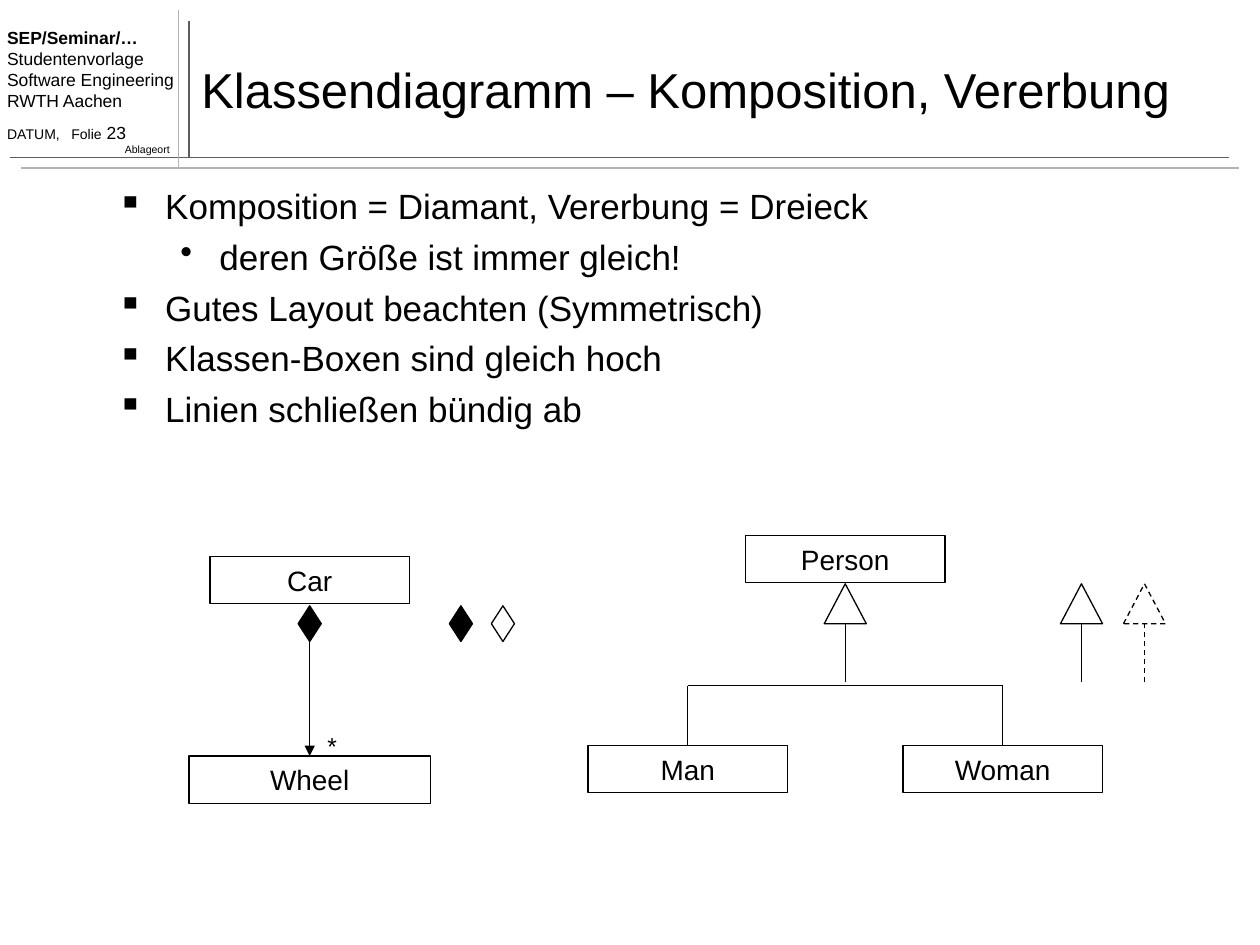
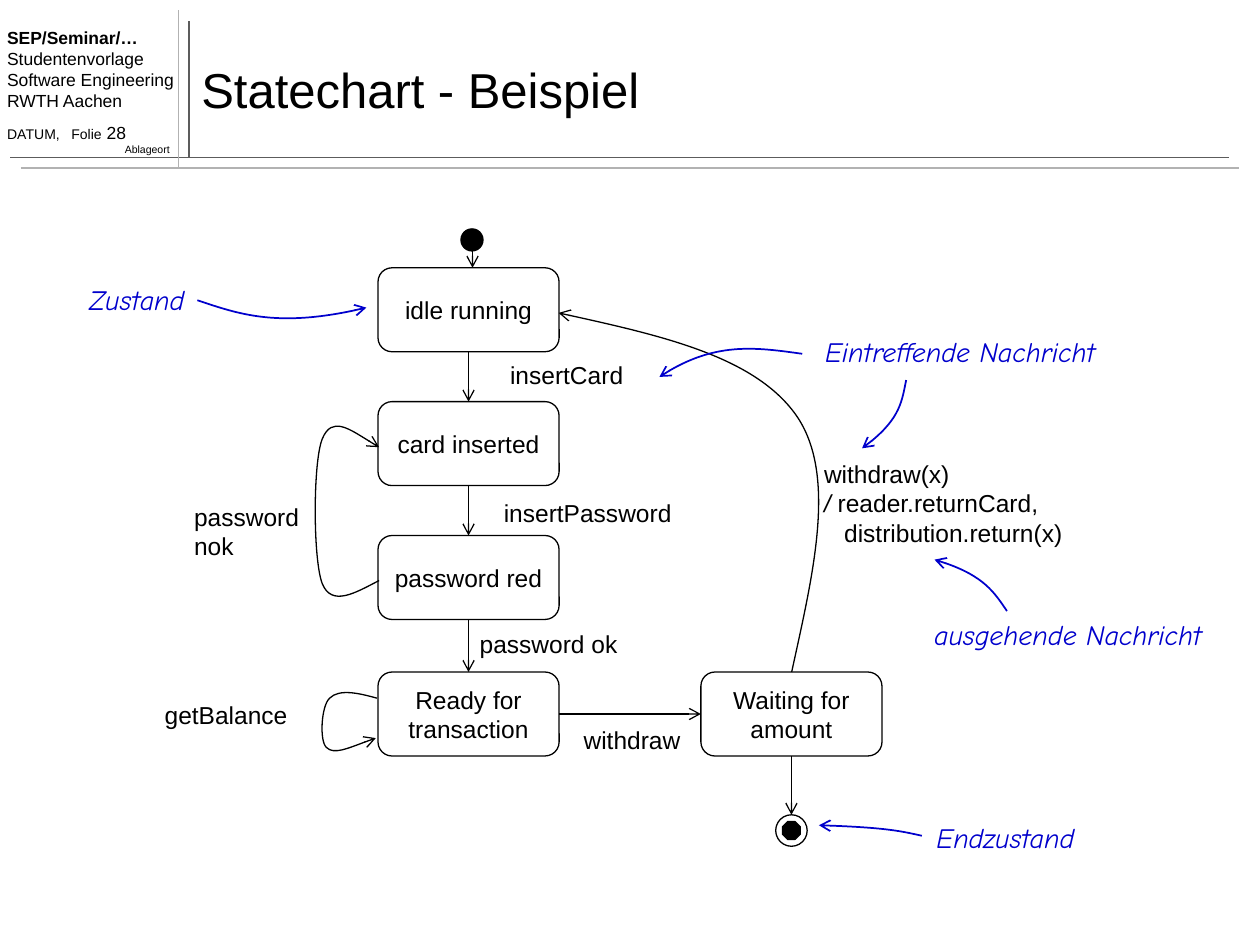
from dataclasses import dataclass

from lxml.etree import SubElement
from pptx import Presentation
from pptx.dml.color import RGBColor
from pptx.enum.dml import MSO_LINE
from pptx.enum.shapes import MSO_CONNECTOR, MSO_SHAPE
from pptx.enum.text import MSO_ANCHOR, PP_ALIGN
from pptx.oxml.ns import qn
from pptx.util import Inches, Pt

COLUMNS, ROWS = 120, 90
CELL = Inches(10) / COLUMNS

BLACK, WHITE, BLUE = "000000", "FFFFFF", "0000CC"
DARK_GRAY, LIGHT_GRAY = "5C5C5C", "B2B2B2"
TEXT_FONT, NOTE_FONT = "Arial", "Comic Neue"

CLASS_WIDTH, CLASS_HEIGHT = 19, 4.5
STATE_WIDTH, STATE_HEIGHT = 17.25, 8


def rgb(color):
    return RGBColor.from_string(color)


@dataclass
class Area:
    """A region of a page; its parts are placed in grid cells from its corner."""
    page: object
    left: float
    top: float

    def point(self, column, row):
        return round((self.left + column) * CELL), round((self.top + row) * CELL)

    def box(self, column, row, width, height):
        return *self.point(column, row), round(width * CELL), round(height * CELL)


def style_line(line, color, width=0.75, dashed=False):
    line.color.rgb = rgb(color)
    line.width = Pt(width)
    if dashed:
        line.dash_style = MSO_LINE.DASH


def add_arrowhead(line, kind):
    SubElement(line._get_or_add_ln(), qn("a:tailEnd"), type=kind)


def add_line(area, start, end, color=BLACK, width=0.75, head=None, dashed=False):
    connector = area.page.shapes.add_connector(
        MSO_CONNECTOR.STRAIGHT, *area.point(*start), *area.point(*end))
    SubElement(connector._element.spPr, qn("a:effectLst"))
    style_line(connector.line, color, width, dashed)
    if head:
        add_arrowhead(connector.line, head)


def add_curve(area, points, color=BLACK, width=0.75):
    """Draws an arrow of cubic curves: a start, then three points for each curve."""
    start, *others = [area.point(*point) for point in points]
    builder = area.page.shapes.build_freeform(*start)
    builder.add_line_segments(others, close=False)
    curve = builder.convert_to_shape()
    segments = list(curve._element.iter(qn("a:lnTo")))
    for first in range(0, len(segments), 3):
        outline = segments[first].getparent()
        cubic = SubElement(outline, qn("a:cubicBezTo"))
        for segment in segments[first:first + 3]:
            cubic.append(segment[0])
            outline.remove(segment)
    curve.shadow.inherit = False
    curve.fill.background()
    style_line(curve.line, color, width)
    add_arrowhead(curve.line, "arrow")


def add_form(area, kind, box, fill=None, dashed=False):
    form = area.page.shapes.add_shape(kind, *area.box(*box))
    form.shadow.inherit = False
    if fill:
        form.fill.solid()
        form.fill.fore_color.rgb = rgb(fill)
    else:
        form.fill.background()
    style_line(form.line, BLACK, dashed=dashed)
    return form


def style_font(para, size, name=TEXT_FONT, color=BLACK):
    para.font.size = Pt(size)
    para.font.name = name
    para.font.color.rgb = rgb(color)


def write_lines(frame, lines, size, name=TEXT_FONT, color=BLACK, align=PP_ALIGN.LEFT):
    frame.word_wrap = True
    for number, line in enumerate(lines):
        para = frame.add_paragraph() if number else frame.paragraphs[0]
        para.add_run().text = line
        para.alignment = align
        style_font(para, size, name, color)
    return frame.paragraphs


def add_label(area, box, lines, size=14, name=TEXT_FONT, color=BLACK):
    frame = area.page.shapes.add_textbox(*area.box(*box)).text_frame
    frame.margin_right = 0
    return write_lines(frame, lines, size, name, color)


def add_note(area, column, row, width, text):
    para, = add_label(area, (column, row, width, 4.4), [text], 16, NOTE_FONT, BLUE)
    para.font.italic = True


def add_header(page, title, number):
    area = Area(page, 0, 0)
    for start, end, color in (
        ((18, 15), (18, 2), DARK_GRAY),
        ((1, 15), (117, 15), DARK_GRAY),
        ((2, 16), (118, 16), LIGHT_GRAY),
        ((17, 16), (17, 1), LIGHT_GRAY),
    ):
        add_line(area, start, end, color, 1)

    paras = add_label(area, (-0.5, 2, 18.5, 12.2), [
        "SEP/Seminar/…", "Studentenvorlage", "Software Engineering", "RWTH Aachen"], 10)
    paras[0].font.bold = True
    add_slide_number(area, number)
    add_label(area, (10.7, 13, 6.6, 2.4), ["Ablageort"], 6)

    frame = page.shapes.add_textbox(*area.box(18, 3, 100, 11)).text_frame
    frame.vertical_anchor = MSO_ANCHOR.MIDDLE
    write_lines(frame, [title], 28)


def add_slide_number(area, number):
    """Adds the date line below the course lines, which were written last."""
    frame = area.page.shapes[-1].text_frame
    para = frame.add_paragraph()
    para.space_before = Pt(6.2)
    tabs = SubElement(para._p.get_or_add_pPr(), qn("a:tabLst"))
    SubElement(tabs, qn("a:tab"), pos=str(Inches(0.51)), algn="l")
    style_font(para, 8)
    para.add_run().text = "DATUM,\tFolie"
    page_number = para.add_run()
    page_number.text = f" {number}"
    page_number.font.size = Pt(10)


def add_bullets(area, items):
    """Writes (level, text) items as a bulleted list."""
    marks = (("▪", 0.38, -0.38), ("•", 0.81, -0.31))
    frame = area.page.shapes.add_textbox(*area.box(0, 0, 108, 71)).text_frame
    frame.word_wrap = True
    for number, (level, text) in enumerate(items):
        para = frame.add_paragraph() if number else frame.paragraphs[0]
        mark, margin, indent = marks[level]
        para.level = level
        if number:
            para.space_before = Pt(5)
        properties = para._p.get_or_add_pPr()
        properties.set("marL", str(Inches(margin)))
        properties.set("indent", str(Inches(indent)))
        bullet_color = SubElement(properties, qn("a:buClr"))
        SubElement(bullet_color, qn("a:srgbClr"), val=BLACK)
        SubElement(properties, qn("a:buChar"), char=mark)
        style_font(para, 20)
        para.add_run().text = text


def add_class(area, column, row, name, width=CLASS_WIDTH):
    form = add_form(area, MSO_SHAPE.RECTANGLE, (column, row, width, CLASS_HEIGHT))
    form.text_frame.vertical_anchor = MSO_ANCHOR.MIDDLE
    write_lines(form.text_frame, [name], 16, align=PP_ALIGN.CENTER)


def add_composition(area):
    middle = 11.5
    add_class(area, 2, 0, "Car")
    add_class(area, 0, 19, "Wheel", 23)
    add_line(area, (middle, 7), (middle, 19), head="triangle")
    for center, fill in ((middle, BLACK), (25.9, BLACK), (29.9, None)):
        add_form(area, MSO_SHAPE.DIAMOND, (center - 1.1, 4.7, 2.2, 3.4), fill)
    add_label(area, (12, 16, 3.2, 4), ["*"])


def add_inheritance(area):
    middle, branch_row, child_row = 24.5, 14.3, 20
    children = {"Man": 0, "Woman": 30}
    add_class(area, 15, 0, "Person")
    ends = [column + CLASS_WIDTH / 2 for column in children.values()]
    add_line(area, (ends[0], branch_row), (ends[1], branch_row))
    for (name, column), end in zip(children.items(), ends):
        add_class(area, column, child_row, name)
        add_line(area, (end, child_row), (end, branch_row))
    for center, dashed in ((middle, False), (47, False), (53, True)):
        add_line(area, (center, 14), (center, 8), dashed=dashed)
        add_form(area, MSO_SHAPE.ISOSCELES_TRIANGLE, (center - 2, 4.6, 4, 3.8),
                 WHITE, dashed)


def add_states(area):
    left, right = 36, 66.75
    tops = (9.5, 22.25, 35, 48)
    last = tops[-1]
    names = (["idle running"], ["card inserted"], ["password red"],
             ["Ready for", "transaction"], ["Waiting for", "amount"])
    corners = [(left, top) for top in tops] + [(right, last)]
    for corner, lines in zip(corners, names):
        form = add_form(area, MSO_SHAPE.ROUNDED_RECTANGLE,
                        (*corner, STATE_WIDTH, STATE_HEIGHT), WHITE)
        form.text_frame.vertical_anchor = MSO_ANCHOR.MIDDLE
        write_lines(form.text_frame, lines, 14, align=PP_ALIGN.CENTER)

    middle = left + STATE_WIDTH / 2
    for upper, lower in zip(tops, tops[1:]):
        add_line(area, (middle, upper + STATE_HEIGHT), (middle, lower), head="arrow")
    side = last + STATE_HEIGHT / 2
    add_line(area, (left + STATE_WIDTH, side), (right, side), head="arrow")

    add_form(area, MSO_SHAPE.OVAL, (43.9, 5.8, 2.1, 2.1), BLACK)
    add_line(area, (45, 6.9), (45, tops[0]), head="arrow")
    final = right + STATE_WIDTH / 2
    add_form(area, MSO_SHAPE.OCTAGON, (final - 0.85, 62.25, 1.7, 1.7), BLACK)
    add_form(area, MSO_SHAPE.OVAL, (final - 1.5, 61.6, 3, 3))
    add_line(area, (final, last + STATE_HEIGHT), (final, 61.6), head="arrow")


def add_transitions(area):
    for box, lines in (
        ((47.4, 17.7, 13.2, 4), ["insertCard"]),
        ((46.8, 30.8, 18.4, 4), ["insertPassword"]),
        ((17.3, 31.2, 13, 6.8), ["password", "nok"]),
        ((44.5, 43.3, 15.5, 4), ["password ok"]),
        ((14.5, 50.1, 14, 4), ["getBalance"]),
        ((54.4, 52.5, 13, 4), ["withdraw"]),
    ):
        add_label(area, box, lines)

    _, action, follow_up = add_label(area, (77.3, 27.1, 25, 9.6), [
        "withdraw(x)", "/ ", "distribution.return(x)"])
    action.runs[0].font.italic = True
    action.add_run().text = "reader.returnCard,"
    follow_up._p.get_or_add_pPr().set("marL", str(Inches(0.16)))

    balance_loop = [(35.9, 50.5), (34.1, 50), (32.3, 49.6), (31.4, 50.5), (30.6, 51.2),
                    (30.4, 54.6), (31.1, 55.2), (31.8, 55.9), (33.8, 55), (35.8, 54.3)]
    password_loop = [(36.1, 39.3), (33.8, 40.5), (31.6, 41.8), (30.7, 39.6), (29.8, 37.3),
                     (29.8, 28), (30.7, 25.8), (31.6, 23.6), (33.8, 25.2), (36.1, 26.6)]
    return_to_idle = [(75.4, 48), (77.4, 38.8), (79.7, 29.5), (76, 23.8),
                      (72.2, 18.1), (62.8, 15.9), (53.2, 13.8)]
    for points in (balance_loop, password_loop, return_to_idle):
        add_curve(area, points)


def add_explanations(area):
    add_note(area, 7.3, 10.3, 12.4, "Zustand")
    add_note(area, 77.4, 15.3, 35, "Eintreffende Nachricht")
    add_note(area, 87.8, 42.2, 27.8, "ausgehende Nachricht")
    add_note(area, 88, 61.6, 19, "Endzustand")
    for points in (
        [(18.8, 12.6), (22.7, 13.9), (26.6, 15.3), (34.9, 13.3)],
        [(76.4, 17.7), (72.1, 17.1), (67.9, 16.5), (62.8, 19.9)],
        [(86.3, 20.2), (85.9, 22.2), (85.7, 24.1), (82.1, 26.7)],
        [(95.9, 42.2), (94.7, 40.4), (93.5, 38.6), (89, 37.3)],
        [(87.8, 63.6), (86, 63.2), (84.4, 62.8), (78, 62.6)],
    ):
        add_curve(area, points, BLUE, 1)


def build_class_page(page):
    add_header(page, "Klassendiagramm – Komposition, Vererbung", 23)
    add_bullets(Area(page, 10, 17), [
        (0, "Komposition = Diamant, Vererbung = Dreieck"),
        (1, "deren Größe ist immer gleich!"),
        (0, "Gutes Layout beachten (Symmetrisch)"),
        (0, "Klassen-Boxen sind gleich hoch"),
        (0, "Linien schließen bündig ab"),
    ])
    add_composition(Area(page, 18, 53))
    add_inheritance(Area(page, 56, 51))


def build_state_page(page):
    add_header(page, "Statechart - Beispiel", 28)
    area = Area(page, 0, 16)
    add_states(area)
    add_transitions(area)
    add_explanations(area)


def main():
    deck = Presentation()
    deck.slide_width, deck.slide_height = round(COLUMNS * CELL), round(ROWS * CELL)
    blank = deck.slide_layouts[6]
    for build in (build_class_page, build_state_page):
        build(deck.slides.add_slide(blank))
    deck.save("out.pptx")


if __name__ == "__main__":
    main()
